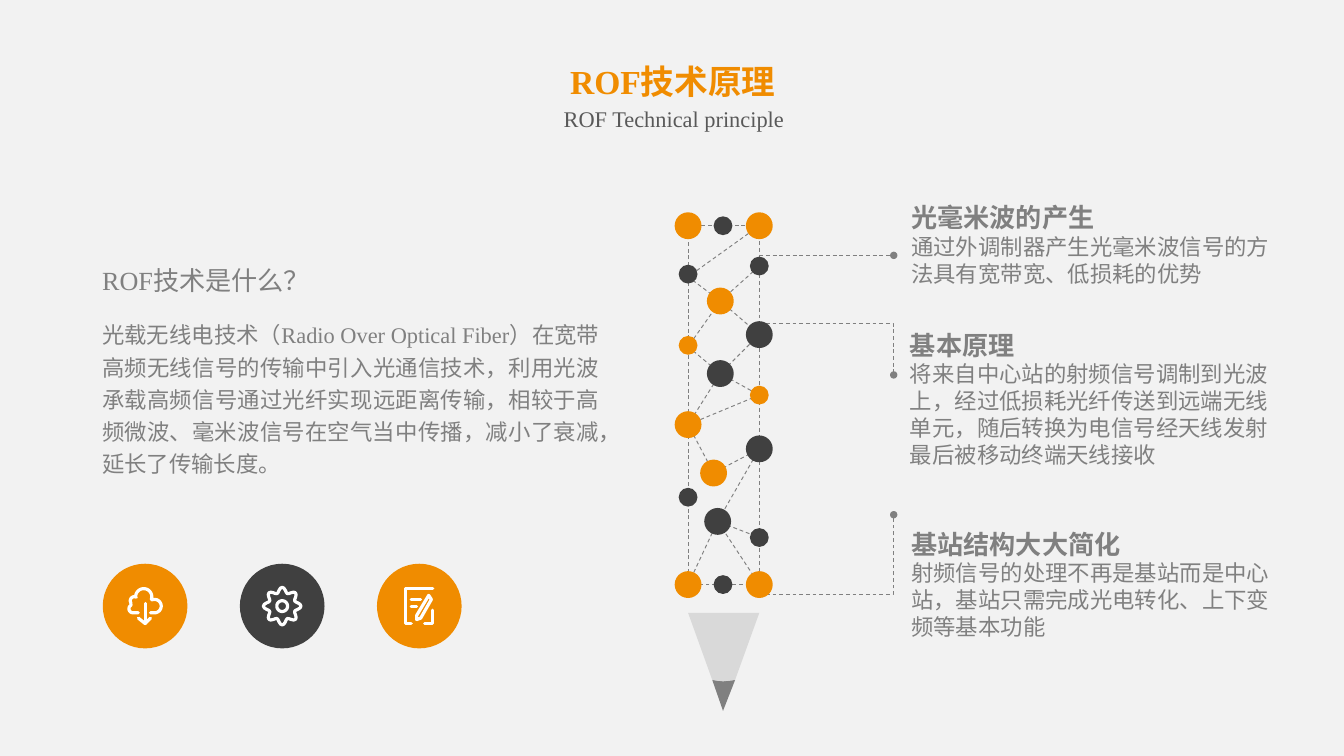
from math import cos, radians, sin, tau

from lxml.etree import SubElement
from pptx import Presentation
from pptx.dml.color import RGBColor
from pptx.enum.dml import MSO_LINE
from pptx.enum.shapes import MSO_CONNECTOR, MSO_SHAPE
from pptx.enum.text import MSO_ANCHOR, PP_ALIGN
from pptx.oxml.ns import qn
from pptx.util import Inches, Pt

PAPER = RGBColor(0xF2, 0xF2, 0xF2)
ORANGE = RGBColor(0xF0, 0x8C, 0x00)
DARK = RGBColor(0x40, 0x40, 0x40)
SLATE = RGBColor(0x59, 0x59, 0x59)
GRAY = RGBColor(0x80, 0x80, 0x80)
LIGHT = RGBColor(0xD9, 0xD9, 0xD9)
WHITE = RGBColor(0xFF, 0xFF, 0xFF)
SANS = "Noto Sans CJK SC"
SERIF = "Times New Roman"

deck = Presentation()
deck.slide_width = Inches(10)
deck.slide_height = Inches(10 * 9 / 16)
slide = deck.slides.add_slide(deck.slide_layouts[5])
slide.background.fill.solid()
slide.background.fill.fore_color.rgb = PAPER
shapes = slide.shapes


def write(para, text, size, color=GRAY, font=SERIF, bold=False,
          align=PP_ALIGN.LEFT, space=None, before=0):
    para.alignment = align
    para.line_spacing = space
    para.space_before = Pt(before)
    run = para.add_run()
    run.text = text
    run.font.size = Pt(size)
    run.font.bold = bold
    run.font.name = font
    run.font.color.rgb = color
    SubElement(run.font._element, qn("a:ea"), typeface=SANS)


def trace(points, color=GRAY, width=0.5, dash=True, dot=False, closed=False):
    """Draw a line through points given in inches."""
    spots = [(Inches(x), Inches(y)) for x, y in points]
    if len(spots) == 2:
        line = shapes.add_connector(MSO_CONNECTOR.STRAIGHT, *spots[0], *spots[1])
    else:
        pen = shapes.build_freeform(*spots[0])
        pen.add_line_segments(spots[1:], close=closed)
        line = pen.convert_to_shape()
        line.fill.background()
        line.shadow.inherit = False
    line.line.color.rgb = color
    line.line.width = Pt(width)
    if dash:
        line.line.dash_style = MSO_LINE.DASH
    props = line.element.spPr
    stroke = props.find(qn("a:ln"))
    if not dash:
        stroke.set("cap", "rnd")
        SubElement(stroke, qn("a:round"))
    if dot:
        SubElement(stroke, qn("a:tailEnd"), type="oval", w="sm", len="sm")
    if len(spots) == 2:
        SubElement(props, qn("a:effectLst"))


# Title and subtitle
title = shapes.title
title.left, title.top = Inches(3.79), Inches(0.4)
title.width, title.height = Inches(2.43), Inches(0.4)
title.text_frame.vertical_anchor = MSO_ANCHOR.TOP
write(title.text_frame.paragraphs[0], "ROF技术原理", 18, ORANGE, bold=True,
      align=PP_ALIGN.CENTER)

# Callout lines
left, right, edge = 5.12, 5.65, 6.65
trace([(right, 4.42), (edge, 4.42), (edge, 3.83)], dot=True)
trace([(right, 1.9), (edge, 1.9)], dot=True)
trace([(right, 2.41), (edge, 2.41), (edge, 2.79)], dot=True)

# Lattice of the pencil
top, base = 1.68, 4.35
trace([(left, top), (right, top), (right, base), (left, base)], closed=True)
trace([(right, top), (left, 2.06), (5.36, 2.24), (right, 2.49), (5.36, 2.78),
       (left, 3.16), (5.31, 3.52), (right, 3.34), (5.34, 3.88), (right, base)])
trace([(left, base), (5.34, 3.88), (right, 4)])
trace([(left, 3.16), (right, 2.94), (5.36, 2.78), (left, 2.58), (5.36, 2.24),
       (right, 1.98)])

# Nodes of the lattice and the three icon discs: centre, diameter, colour
big, small, disc = 0.2, 0.14, 0.63
mid = 5.38
nodes = [
    (left, top, big, ORANGE), (5.36, 2.24, big, ORANGE),
    (5.36, 2.78, big, DARK), (left, 3.16, big, ORANGE),
    (5.31, 3.52, big, ORANGE), (right, 2.49, big, DARK),
    (right, 3.34, big, DARK), (5.34, 3.88, big, DARK),
    (right, top, big, ORANGE), (mid, top, small, DARK),
    (left, base, big, ORANGE), (right, base, big, ORANGE),
    (mid, base, small, DARK), (left, 2.04, small, DARK),
    (left, 2.57, small, ORANGE), (left, 3.7, small, DARK),
    (right, 1.98, small, DARK), (right, 2.94, small, ORANGE),
    (right, 4, small, DARK),
    (1.08, 4.51, disc, ORANGE), (2.1, 4.51, disc, DARK),
    (3.12, 4.51, disc, ORANGE),
]
for x, y, size, color in nodes:
    node = shapes.add_shape(MSO_SHAPE.OVAL, Inches(x - size / 2),
                            Inches(y - size / 2), Inches(size), Inches(size))
    node.shadow.inherit = False
    node.fill.solid()
    node.fill.fore_color.rgb = color
    node.line.fill.background()

# Pencil point: wood, then lead
wood = [(left, 4.56), (5.3, 5.06), (mid, 5.07), (5.47, 5.06), (right, 4.56)]
lead = [(5.3, 5.06), (mid, 5.29), (5.47, 5.06), (mid, 5.07)]
for points, color in [(lead, GRAY), (wood, LIGHT)]:
    spots = [(Inches(x), Inches(y)) for x, y in points]
    pen = shapes.build_freeform(*spots[0])
    pen.add_line_segments(spots[1:])
    part = pen.convert_to_shape()
    part.shadow.inherit = False
    part.fill.solid()
    part.fill.fore_color.rgb = color
    part.line.fill.background()

# Icons: cloud with arrow, gear, page with pencil
arcs = [(0.99, 4.53, 0.03, 90, 240), (1, 4.47, 0.03, 150, 300),
        (1.07, 4.44, 0.06, 180, 380), (1.15, 4.51, 0.05, 250, 450)]
cloud = [(1.03, 4.56)]
for x, y, size, start, stop in arcs:
    for turn in range(start, stop + 1, 10):
        cloud.append((x + size * cos(radians(turn)), y + size * sin(radians(turn))))
cloud.append((1.12, 4.56))

gear, hub = [], []
for step in range(64):
    turn = tau * step / 64
    reach = 0.12 + 0.02 * cos(8 * turn)
    gear.append((2.1 + reach * cos(turn), 4.51 + reach * sin(turn)))
    hub.append((2.1 + 0.04 * cos(turn), 4.51 + 0.04 * sin(turn)))

quill = [(3.19, 4.43), (3.1, 4.58), (3.1, 4.61), (3.13, 4.6), (3.21, 4.46)]
opens = [
    cloud, [(1.08, 4.49), (1.08, 4.64)],
    [(1.03, 4.6), (1.08, 4.64), (1.12, 4.6)],
    [(3.06, 4.64), (3.02, 4.64), (3.02, 4.38), (3.22, 4.38)],
    [(3.22, 4.54), (3.22, 4.64), (3.16, 4.64)],
    [(3.06, 4.46), (3.13, 4.46)], [(3.06, 4.51), (3.1, 4.51)],
]
for points in opens:
    trace(points, WHITE, 1.7, dash=False)
for points in [gear, hub, quill]:
    trace(points, WHITE, 1.7, dash=False, closed=True)

# Text blocks: place, then paragraphs with their format
head = dict(size=14, font=SANS, bold=True)
body = dict(size=12)
blocks = [
    (4.03, 0.78, 1.97, 0.2, [
        ("ROF Technical principle",
         dict(size=12, color=SLATE, align=PP_ALIGN.CENTER))]),
    (0.76, 1.92, 3.7, 1.65, [
        ("ROF技术是什么？", dict(size=14, space=1.2)),
        ("光载无线电技术（Radio Over Optical Fiber）在宽带高频无线信号的传输中引入光通信技术，"
         "利用光波承载高频信号通过光纤实现远距离传输，相较于高频微波、毫米波信号在空气当中传播，"
         "减小了衰减，延长了传输长度。",
         dict(size=12, space=1.2, before=11, align=PP_ALIGN.JUSTIFY))]),
    (6.78, 1.5, 2.68, 0.64, [
        ("光毫米波的产生", head),
        ("通过外调制器产生光毫米波信号的方法具有宽带宽、低损耗的优势", body)]),
    (6.77, 2.45, 2.68, 1.04, [
        ("基本原理", head),
        ("将来自中心站的射频信号调制到光波上，经过低损耗光纤传送到远端无线单元，"
         "随后转换为电信号经天线发射最后被移动终端天线接收", body)]),
    (6.78, 3.93, 2.68, 0.84, [
        ("基站结构大大简化", head),
        ("射频信号的处理不再是基站而是中心站，基站只需完成光电转化、上下变频等基本功能", body)]),
]
for x, y, wide, high, lines in blocks:
    frame = shapes.add_textbox(Inches(x), Inches(y), Inches(wide),
                               Inches(high)).text_frame
    frame.word_wrap = True
    frame.margin_left = frame.margin_right = 0
    frame.margin_top = frame.margin_bottom = 0
    for row, (text, form) in enumerate(lines):
        para = frame.add_paragraph() if row else frame.paragraphs[0]
        write(para, text, **form)

deck.save("out.pptx")
